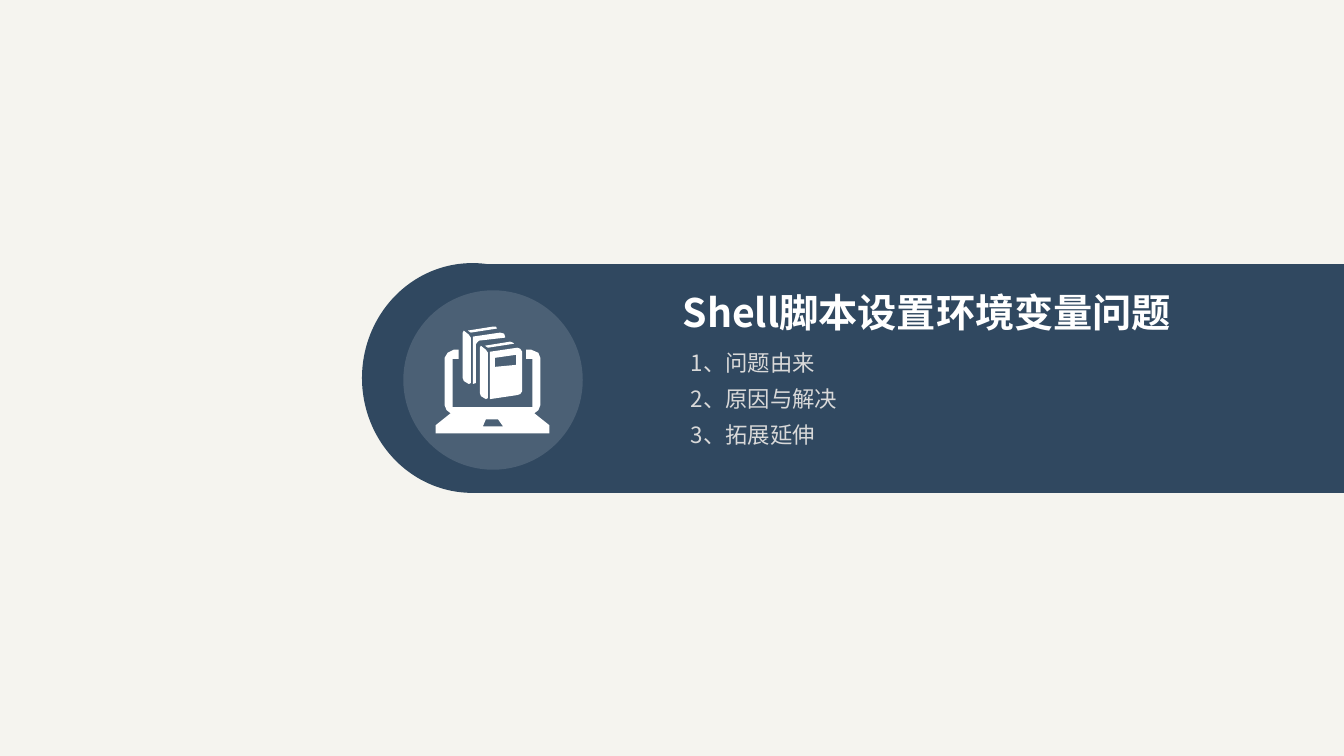
import pptx
import pptx.dml.color
import pptx.enum.shapes
import pptx.enum.text
import pptx.oxml.ns
import pptx.util
from pptx.util import Inches, Pt

TITLE = "Shell脚本设置环境变量问题"
TOPICS = ["1、问题由来", "2、原因与解决", "3、拓展延伸"]
FONT = "Noto Sans CJK SC"

RGBColor = pptx.dml.color.RGBColor
PAPER = RGBColor(0xF5, 0xF4, 0xEF)
NAVY = RGBColor(0x30, 0x48, 0x60)
SLATE = RGBColor(0x4B, 0x60, 0x75)
WHITE = RGBColor(0xFF, 0xFF, 0xFF)
GREY = RGBColor(0xD9, 0xD9, 0xD9)

# Icon outlines, in hundredths of an inch on the slide
BACK_BOOK_SHIFT = (-17, -15)
SPINE = [(477, 343), (482, 347), (484, 350), (484, 395),
         (482, 396), (477, 393), (476, 390), (476, 345)]
PAGES_EDGE = [(481, 343), (484, 345), (510, 341), (509, 339.5), (506, 339)]
FRONT_COVER = [(486, 349), (513, 345), (516.5, 346), (518, 349),
               (518, 388), (516.5, 391), (513, 392), (486, 396)]
COVER_LABEL = [(491, 355), (512, 352), (512, 362), (491, 364)]
BACK_COVER = [(469, 334), (496, 330), (499.5, 331), (501, 334), (501, 335),
              (475, 338), (473, 339.5), (472, 342), (472, 380), (469, 381)]
TOUCHPAD = [(482, 416), (494, 416), (499, 423), (479, 423)]
LAPTOP_CENTER = 488.5
LAPTOP_LEFT = [(449, 404), (449, 356), (455, 356), (455, 347), (450, 347),
               (443.5, 349.5), (441, 355), (441, 402), (443, 407),
               (447, 410), (432, 422), (432, 430)]


def shifted(outline, shift):
    return [(x + shift[0], y + shift[1]) for x, y in outline]


def paint(shape, color):
    shape.fill.solid()
    shape.fill.fore_color.rgb = color
    shape.line.fill.background()
    shape.shadow.inherit = False


def add_preset(page, kind, color, *bounds):
    shape = page.shapes.add_shape(kind, *map(Inches, bounds))
    paint(shape, color)


def add_icon(page, outlines):
    first, *others = outlines
    builder = page.shapes.build_freeform(*first[0], scale=Inches(0.01))
    builder.add_line_segments(first[1:], close=True)
    for outline in others:
        builder.move_to(*outline[0])
        builder.add_line_segments(outline[1:], close=True)
    paint(builder.convert_to_shape(), WHITE)


def place_text(box, lines, bounds, size, color, bold, anchor):
    """Fill a placeholder, place it and bring it in front of the band."""
    box.left, box.top, box.width, box.height = map(Inches, bounds)
    frame = box.text_frame
    frame.text = "\n".join(lines)
    frame.word_wrap = True
    frame.auto_size = pptx.enum.text.MSO_AUTO_SIZE.NONE
    frame.vertical_anchor = anchor
    for para in frame.paragraphs:
        para.alignment = pptx.enum.text.PP_ALIGN.LEFT
        for span in para.runs:
            font = span.font
            font.name, font.size, font.bold = FONT, Pt(size), bold
            font.color.rgb = color
            east_asian = pptx.oxml.parse_xml(
                f'<a:ea {pptx.oxml.ns.nsdecls("a")} typeface="{FONT}"/>')
            span.font._element.find(pptx.oxml.ns.qn("a:latin")).addnext(east_asian)
    box.element.getparent().append(box.element)


def main():
    deck = pptx.Presentation()
    deck.slide_width, deck.slide_height = Inches(13.33), Inches(7.5)
    page = deck.slides.add_slide(deck.slide_layouts[1])
    page.background.fill.solid()
    page.background.fill.fore_color.rgb = PAPER

    preset = pptx.enum.shapes.MSO_SHAPE
    add_preset(page, preset.OVAL, NAVY, 3.59, 2.61, 2.19, 2.28)
    add_preset(page, preset.RECTANGLE, NAVY, 4.65, 2.62, 8.68, 2.27)
    add_preset(page, preset.OVAL, SLATE, 4, 2.88, 1.78, 1.78)

    laptop_right = [(2 * LAPTOP_CENTER - x, y) for x, y in reversed(LAPTOP_LEFT)]
    add_icon(page, [
        LAPTOP_LEFT + laptop_right, TOUCHPAD, FRONT_COVER, COVER_LABEL, BACK_COVER,
        SPINE, shifted(SPINE, BACK_BOOK_SHIFT),
        PAGES_EDGE, shifted(PAGES_EDGE, BACK_BOOK_SHIFT)])

    anchors = pptx.enum.text.MSO_ANCHOR
    place_text(page.shapes.title, [TITLE], (6.67, 2.81, 5.24, 0.57),
               28, WHITE, True, anchors.MIDDLE)

    topics = page.placeholders[1]
    place_text(topics, TOPICS, (6.85, 3.46, 3.76, 1.3),
               16, GREY, False, anchors.TOP)
    frame = topics.text_frame
    frame.margin_left = frame.margin_right = 0
    frame.margin_top = frame.margin_bottom = 0
    for number, para in enumerate(frame.paragraphs):
        para.space_before = Pt(6.5 if number else 0)
        properties = para._p.get_or_add_pPr()
        properties.set("marL", "0")
        properties.set("indent", "0")
        properties.append(pptx.oxml.parse_xml(
            f'<a:buNone {pptx.oxml.ns.nsdecls("a")}/>'))

    deck.save("out.pptx")


if __name__ == "__main__":
    main()
